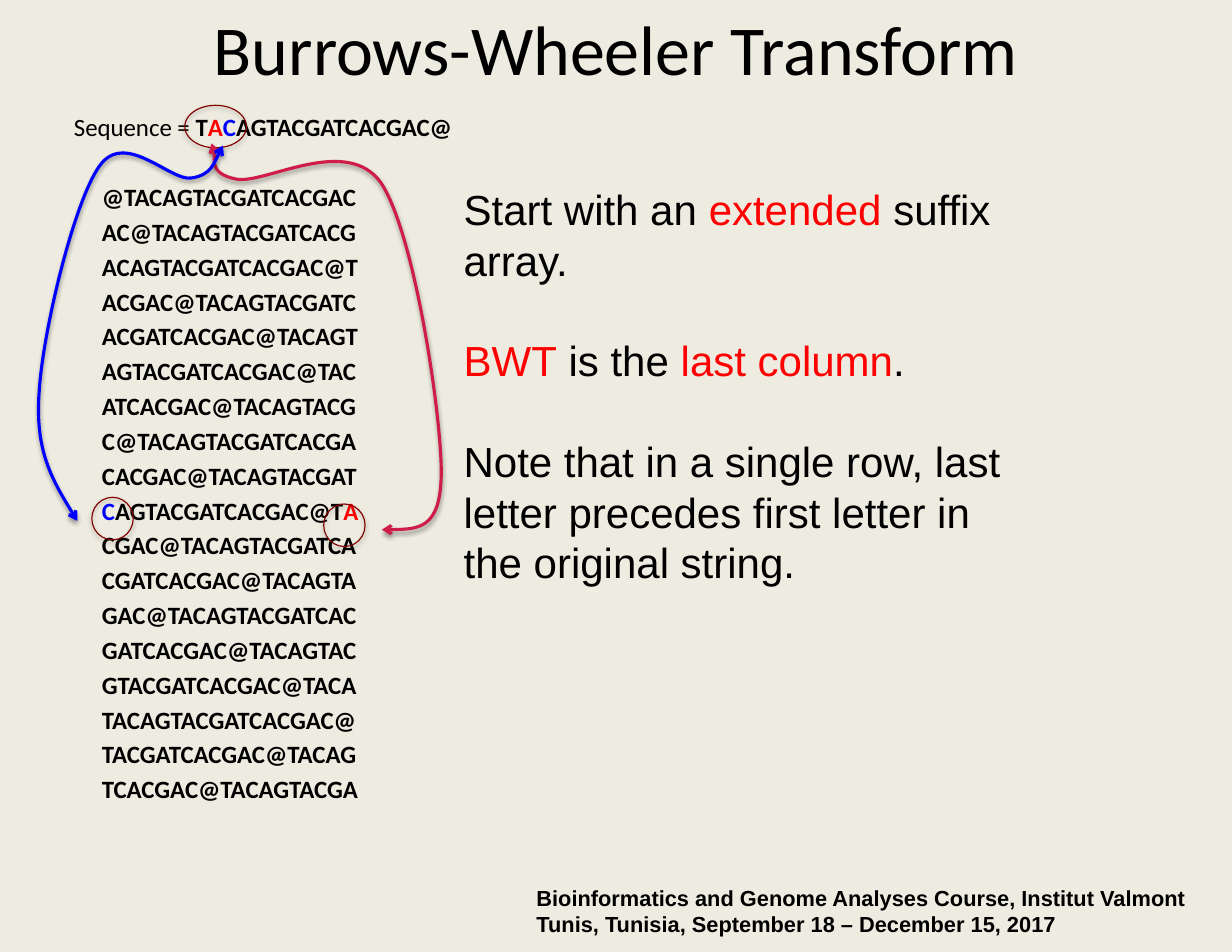
"""Build the Burrows-Wheeler Transform slide with its sorted rotations."""
from lxml import etree
from pptx import Presentation
from pptx import util as u
from pptx.dml import color
from pptx.enum import shapes, text
from pptx.oxml import ns

INK = {"back": "EEECE1", "text": "000000", "red": "FF0000", "blue": "0000FF",
       "ring": "800000", "rose": "CF1C49"}
SEQ = "TACAGTACGATCACGAC@"


def write(par, parts, **form):
    for words, tint in parts:
        run = par.add_run()
        run.text = words
        for key, val in form.items():
            setattr(run.font, key, val)
        run.font.color.rgb = color.RGBColor.from_string(INK[tint])


def trace(shape, tint, width, alpha):
    shape.fill.background()
    shape.line.color.rgb = color.RGBColor.from_string(INK[tint])
    shape.line.width = u.Pt(width)
    shape.shadow.inherit = False
    glow = etree.SubElement(shape._element.spPr.find(ns.qn("a:effectLst")), ns.qn("a:outerShdw"),
                            blurRad=str(u.Pt(3.1)), dist=str(u.Pt(1.7)), dir="5400000", rotWithShape="0")
    tone = etree.SubElement(glow, ns.qn("a:srgbClr"), val=INK["text"])
    etree.SubElement(tone, ns.qn("a:alpha"), val=str(alpha * 1000))


deck = Presentation()
deck.slide_width, deck.slide_height = u.Inches(11), u.Inches(8.5)
slide = deck.slides.add_slide(deck.slide_layouts[1])
slide.background.fill.solid()
slide.background.fill.fore_color.rgb = color.RGBColor.from_string(INK["back"])

title, body = slide.placeholders
foot, note = [slide.shapes.add_textbox(0, 0, 0, 0) for _ in range(2)]
boxes = [
    (title, (0.55, -0.28, 9.9, 1.41), 0.11, text.MSO_ANCHOR.MIDDLE),
    (body, (0.55, 0.94, 9.9, 6.33), 0.11, text.MSO_ANCHOR.TOP),
    (foot, (4.67, 7.84, 6.33, 0.6), 0.12, text.MSO_ANCHOR.TOP),
    (note, (4.03, 1.58, 5.32, 3.75), 0.11, text.MSO_ANCHOR.TOP),
]
for box, place, side, anchor in boxes:
    for key, val in zip(("left", "top", "width", "height"), place):
        setattr(box, key, u.Inches(val))
    frame = {"margin_left": u.Inches(side), "margin_right": u.Inches(side),
             "margin_top": u.Inches(0.06), "margin_bottom": u.Inches(0.06),
             "word_wrap": True, "auto_size": text.MSO_AUTO_SIZE.NONE,
             "vertical_anchor": anchor}
    for key, val in frame.items():
        setattr(box.text_frame, key, val)

head = title.text_frame.paragraphs[0]
head.alignment = text.PP_ALIGN.CENTER
write(head, [("Burrows-Wheeler Transform", "text")], name="Calibri", size=u.Pt(45))

code = {"name": "Calibri", "size": u.Pt(16)}
first = body.text_frame.paragraphs[0]
write(first, [("Sequence = ", "text")], **code)
write(first, [(SEQ[0], "text"), (SEQ[1], "red"), (SEQ[2], "blue"), (SEQ[3:], "text")],
      bold=True, **code)
turns = sorted(SEQ[i:] + SEQ[:i] for i in range(len(SEQ)))
for num, row in enumerate(turns):
    par = body.text_frame.add_paragraph()
    par.space_before = u.Pt(3.2 if num else 25.6)
    parts = [(row, "text")]
    if row == SEQ[2:] + SEQ[:2]:
        parts = [(row[0], "blue"), (row[1:-1], "text"), (row[-1], "red")]
    write(par, parts, bold=True, **code)
for num, par in enumerate(body.text_frame.paragraphs):
    props = par._p.get_or_add_pPr()
    props.set("marL", str(u.Inches(0.25 if num else 0)))
    props.set("indent", "0")
    if not num:
        par.space_before = u.Pt(0)
    etree.SubElement(props, ns.qn("a:buNone"))

lines = ["Bioinformatics and Genome Analyses Course, Institut Valmont",
         "Tunis, Tunisia, September 18 – December 15, 2017"]
for num, line in enumerate(lines):
    par = foot.text_frame.add_paragraph() if num else foot.text_frame.paragraphs[0]
    write(par, [(line, "text")], name="Arial", size=u.Pt(14), bold=True)

notes = [
    [("Start with an ", "text"), ("extended ", "red"), ("suffix array.", "text")],
    [("BWT", "red"), (" is the ", "text"), ("last column", "red"), (".", "text")],
    [("Note that in a single row, last letter precedes first letter in the original string.", "text")],
]
for num, parts in enumerate(notes):
    par = note.text_frame.add_paragraph() if num else note.text_frame.paragraphs[0]
    par.line_spacing = u.Pt(32.4)
    par.space_before = u.Pt(32.4 if num else 0)
    write(par, parts, name="Arial", size=u.Pt(27))

for left, top, width in [(1.65, 0.94, 0.55), (2.89, 4.5, 0.37), (0.82, 4.44, 0.37)]:
    ring = slide.shapes.add_shape(shapes.MSO_SHAPE.OVAL, u.Inches(left), u.Inches(top),
                                  u.Inches(width), u.Inches(0.38))
    trace(ring, "ring", 0.75, 35)

curves = {
    "rose": [(3.41, 4.73), (3.68, 4.73), (3.94, 4.73), (3.94, 4.21), (3.94, 3.7), (3.7, 2.07),
             (3.4, 1.63), (3.09, 1.2), (2.36, 1.65), (2.11, 1.6), (1.86, 1.55), (1.94, 1.38),
             (1.9, 1.33), (1.86, 1.28), (1.89, 1.28), (1.89, 1.28)],
    "blue": [(0.69, 4.65), (0.5, 4.34), (0.31, 4.03), (0.35, 3.5), (0.38, 2.97), (0.66, 1.8),
             (0.89, 1.48), (1.12, 1.16), (1.52, 1.62), (1.71, 1.59), (1.89, 1.56), (1.99, 1.3),
             (1.99, 1.3)],
}
for tint, knots in curves.items():
    start, *rest = [(u.Inches(x), u.Inches(y)) for x, y in knots]
    pen = slide.shapes.build_freeform(*start)
    pen.add_line_segments(rest, close=False)
    curve = pen.convert_to_shape()
    legs = list(curve._element.iter(ns.qn("a:lnTo")))
    route = legs[0].getparent()
    for k in range(0, len(legs), 3):
        bend = etree.SubElement(route, ns.qn("a:cubicBezTo"))
        for leg in legs[k:k + 3]:
            bend.append(leg[0])
            route.remove(leg)
    trace(curve, tint, 2, 38)
    stroke = curve.line._get_or_add_ln()
    for end in ("a:headEnd", "a:tailEnd"):
        etree.SubElement(stroke, ns.qn(end), type="arrow")

deck.save("out.pptx")
